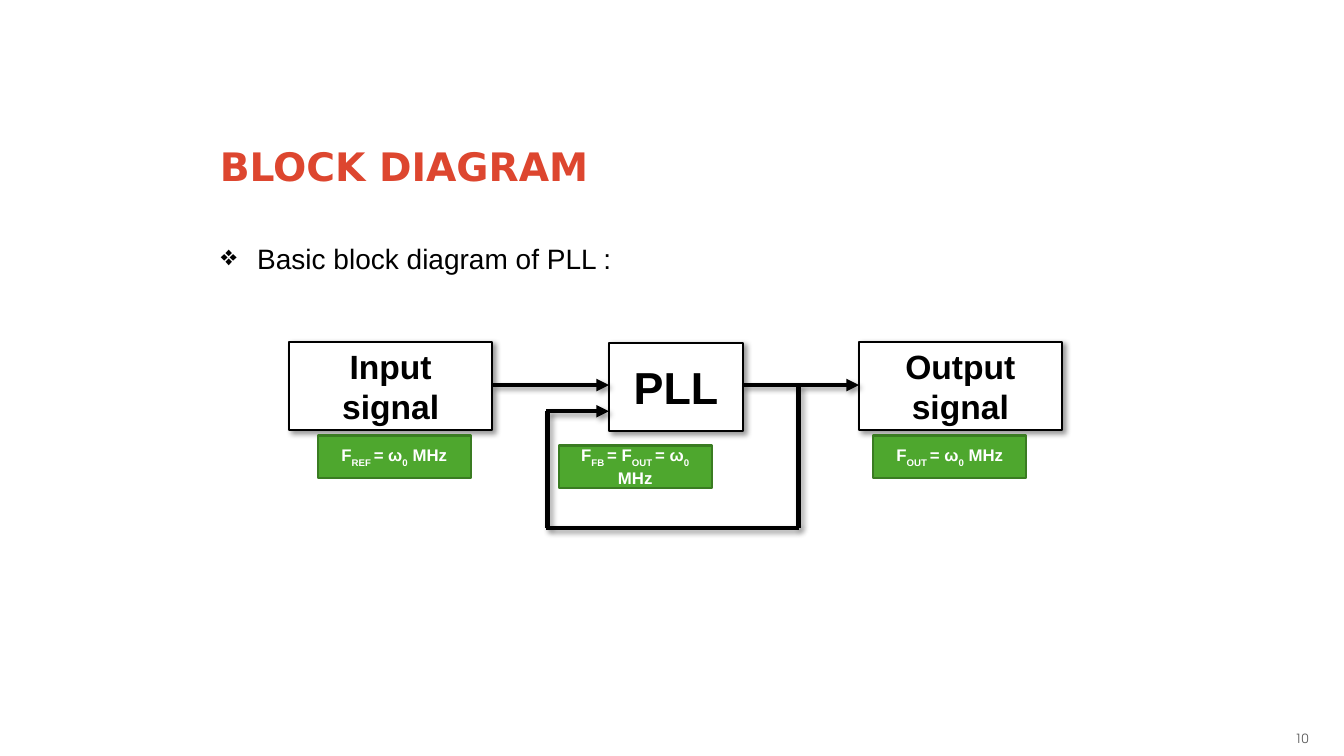
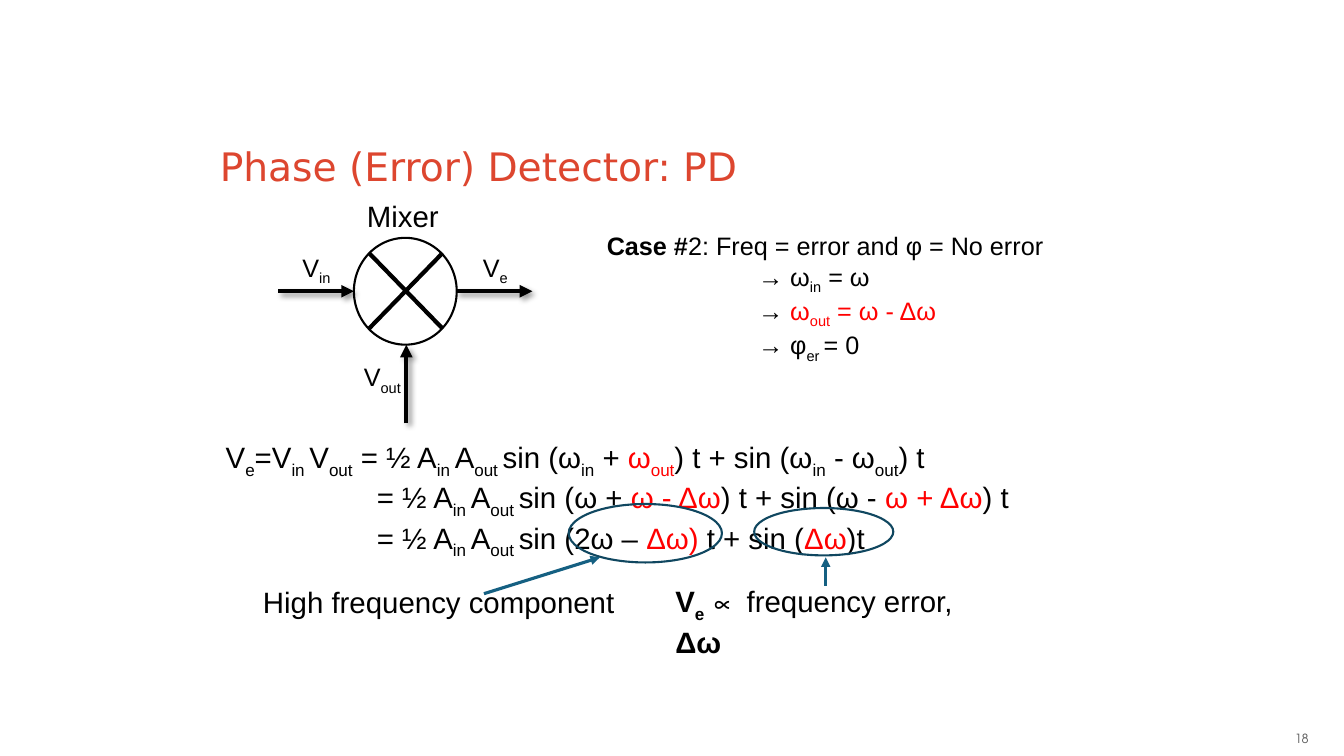
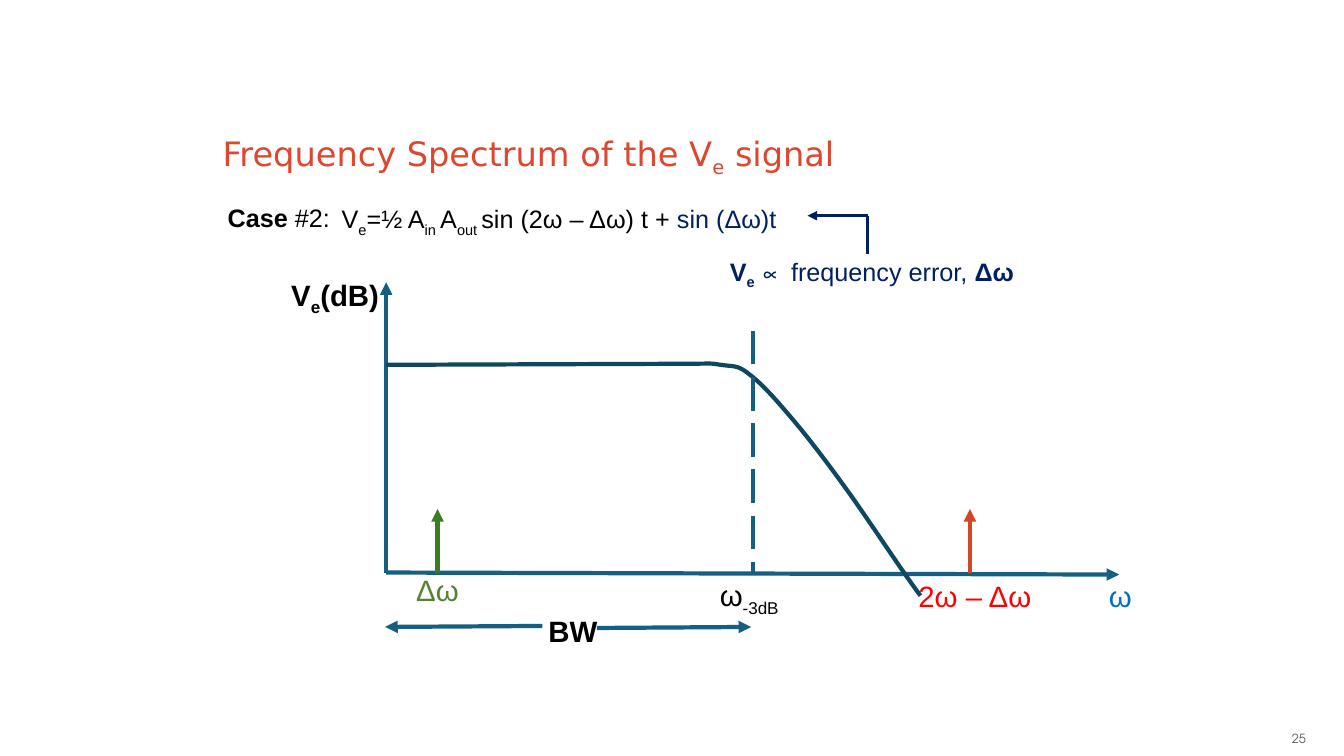
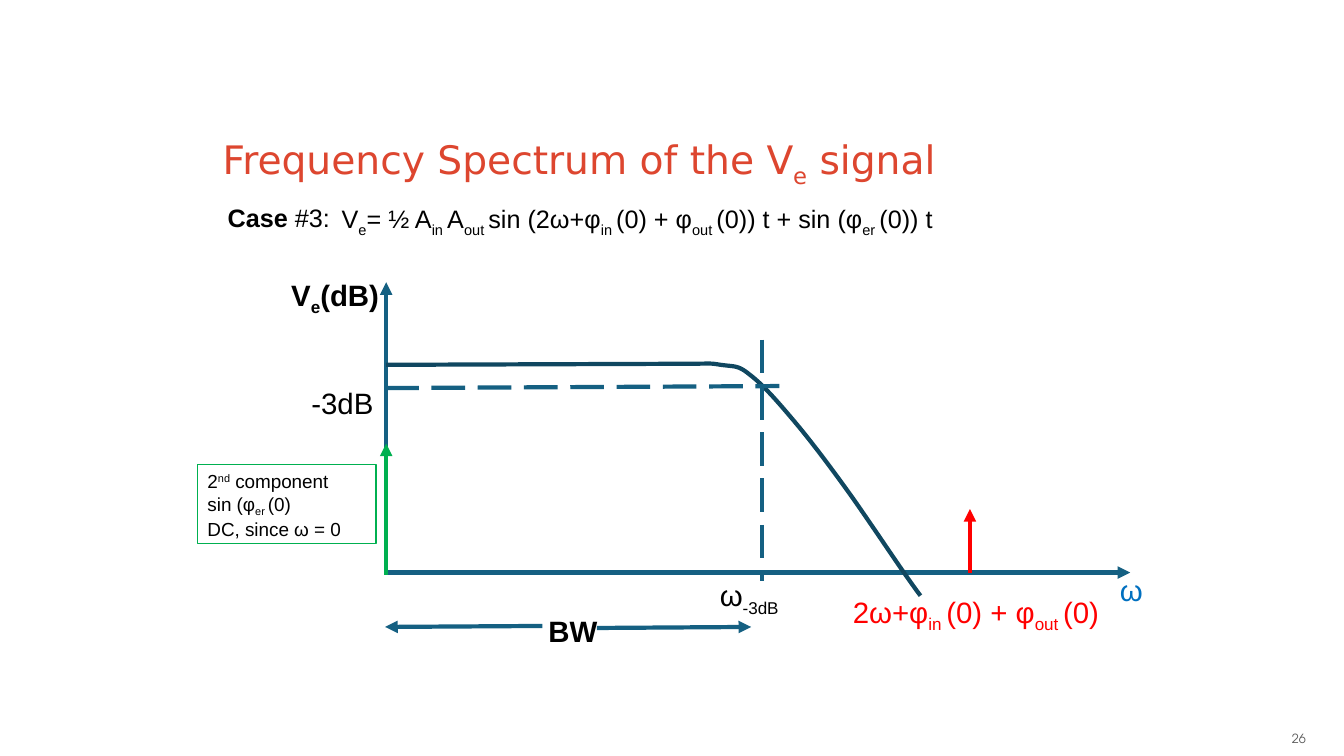
from lxml import etree
from pptx import Presentation, util as u
from pptx.dml.color import RGBColor
from pptx.enum import dml, shapes, text
from pptx.oxml.ns import qn

PX = 9144
SANS = "Arial"
BLACK, WHITE, RED, NAVY = "000000", "FFFFFF", "FF0000", "002060"
TEAL, DEEP, CORAL, GREY = "156082", "104760", "DD462F", "595959"
GREEN, MOSS, LEAF, SKY = "4EA72E", "3A7C22", "00B050", "0070C0"
BASELINE = {"sub": "-25000", "sup": "30000"}

IN, OUT, ER, ZERO = ("in ", "sub"), ("out ", "sub"), ("er ", "sub"), ("0", "sub")
IN_END, OUT_END, E = ("in", "sub"), ("out", "sub"), ("e", "sub")
AMPLITUDES = ["½ A", IN, "A", OUT]
VE_ERROR = [[("V", "bold"), ("e ", "sub", "bold"), "∝ frequency error, ", ("Δω", "bold")]]
SPECTRUM_TITLE = ["Frequency Spectrum of the V", E, " signal"]

PAGES = [
    dict(number="10", title=[("BLOCK DIAGRAM", "bold")], size=28, bottom=192, inset=(7, 4)),
    dict(number="18", title=["Phase (Error) Detector: PD"], size=28, bottom=192, inset=(7, 4)),
    dict(number="25", title=SPECTRUM_TITLE, size=24, bottom=182, inset=(10, 5)),
    dict(number="26", title=SPECTRUM_TITLE, size=28, bottom=192, inset=(10, 5)),
]

BLOCKS = [
    ((287, 339, 201, 88), 24, ["Input", "signal"]),
    ((604, 340, 133, 88), 32, ["PLL"]),
    ((852, 339, 201, 88), 24, ["Output", "signal"]),
]
FREQUENCIES = [
    (315, 432, ["F", ("REF ", "sub"), "= ω", ZERO, " MHz"]),
    (866, 432, ["F", ("OUT ", "sub"), "= ω", ZERO, " MHz"]),
    (554, 442, ["F", ("FB ", "sub"), "= F", ("OUT ", "sub"), "= ω", ZERO, " MHz"]),
]
SIGNAL_ARROWS = [(488, 382, 604, 382), (736, 382, 852, 382), (542, 408, 604, 408)]
FEEDBACK = [(792, 382, 792, 524), (792, 524, 542, 524), (543, 524, 543, 408)]

MIXER = (351, 236, 102, 106)
MIXER_CROSS = [(366, 251, 439, 326), (439, 251, 366, 326)]
MIXER_ARROWS = [(276, 289, 351, 289), (453, 289, 528, 289), (403, 420, 403, 342)]
MIXER_LABELS = [
    ((354, 192, 133, 45), 21, [["Mixer"]]),
    ((290, 245, 52, 40), 18, [["V", IN_END]]),
    ((351, 354, 80, 40), 18, [["V", OUT_END]]),
    ((469, 245, 52, 40), 18, [["V", E]]),
    ((251, 575, 375, 45), 21, [["High frequency component"]]),
    ((660, 574, 345, 45), 21, VE_ERROR),
]
CASE_TWO = [
    [("Case #", "bold"), "2: Freq = error and φ = No error"],
    ["→ ω", IN_END, " = ω"],
    ["→ ", ("ω", RED), ("out", "sub", RED), (" = ω - Δω", RED)],
    ["→ φ", ER, "= 0"],
]
PRODUCT = [
    ["V", E, "=V", IN, "V", OUT_END, " = ", *AMPLITUDES, "sin (ω", IN_END, " + ", ("ω", RED),
     ("out", "sub", RED), ") t + sin (ω", IN_END, " - ω", OUT_END, ") t"],
    ["= ", *AMPLITUDES, "sin (ω + ", ("ω - Δω", RED), ") t + sin (ω - ", ("ω + Δω", RED), ") t"],
    ["= ", *AMPLITUDES, "sin (2ω – ", ("Δω)", RED), " t + sin (", ("Δω", RED), ")t"],
]
TERM_RINGS = [(748, 504, 138, 47), (564, 500, 152, 58)]
TERM_ARROWS = [(819, 581, 819, 553), (480, 589, 595, 553)]

RESPONSE_START = [(383, 362), (659, 361)]
RESPONSE_CURVES = [
    [(715, 361), (701, 360), (715, 362)],
    [(729, 364), (732, 362), (744, 372)],
    [(756, 381), (771, 398), (787, 417)],
    [(803, 436), (819, 457), (840, 486)],
    [(861, 515), (899, 573), (913, 591)],
]
SPECTRUM_ARROWS = [(383, 568, 383, 280), (592, 623, 745, 622), (538, 621, 382, 622)]
SPECTRUM_LABELS = [
    ((704, 568, 141, 45), 21, [["ω", ("-3dB", "sub")]]),
    ((534, 603, 98, 45), 21, [[("BW", "bold")]]),
    ((279, 270, 153, 45), 21, [[("V", "bold"), ("e", "sub", "bold"), ("(dB)", "bold")]]),
]
SPECTRA = [
    dict(
        case="#2:",
        formula=["V", E, "=", *AMPLITUDES, "sin (2ω – Δω) t + ", ("sin (Δω)t", NAVY)],
        axis=(383, 568, 1110, 570),
        dashes=[(747, 328, 747, 568)],
        tones=[((962, 568, 962, 505), "D24726"), ((434, 568, 434, 505), "3B7D23")],
        labels=[
            ((901, 569, 168, 45), 21, [["2ω – Δω"]], RED),
            ((1090, 569, 42, 45), 21, [["ω"]], SKY),
            ((403, 563, 168, 45), 21, [["Δω"]], "548235"),
            ((714, 249, 345, 40), 18, VE_ERROR, NAVY),
        ],
    ),
    dict(
        case="#3:",
        formula=["V", E, "= ", *AMPLITUDES, "sin (2ω+φ", IN, "(0) + φ", OUT,
                 "(0)) t + sin (φ", ER, "(0)) t"],
        axis=(383, 568, 1121, 568),
        dashes=[(756, 337, 756, 576), (382, 385, 773, 383)],
        tones=[((962, 568, 962, 505), RED), ((383, 570, 383, 440), LEAF)],
        labels=[
            ((836, 584, 346, 45), 21, [["2ω+φ", IN, "(0) + φ", OUT, "(0)"]], RED),
            ((1101, 563, 71, 45), 21, [["ω"]], SKY),
            ((299, 377, 113, 45), 21, [["-3dB"]], BLACK),
        ],
    ),
]
DC_NOTE = [["2", ("nd", "sup"), " component"], ["sin (φ", ER, "(0)"], ["DC, since ω = 0"]]


def emu(*lengths):
    return [u.Emu(round(length * PX)) for length in lengths]


def rgb(value):
    return RGBColor.from_string(value)


def add_effects(shape, shadow):
    effects = etree.SubElement(shape._element.spPr, qn("a:effectLst"))
    if shadow:
        outer = etree.SubElement(effects, qn("a:outerShdw"), blurRad="50800", dist="38100",
                                 dir="2700000", algn="tl", rotWithShape="0")
        tint = etree.SubElement(outer, qn("a:srgbClr"), val=BLACK)
        etree.SubElement(tint, qn("a:alpha"), val="40000")


def write(frame, paragraphs, size, colour=BLACK, font=SANS, align=text.PP_ALIGN.LEFT,
          anchor=text.MSO_ANCHOR.TOP, inset=(10, 5), indent=0):
    frame.word_wrap = True
    frame.vertical_anchor = anchor
    frame.margin_left = frame.margin_right = emu(inset[0])[0]
    frame.margin_top = frame.margin_bottom = emu(inset[1])[0]
    for i, runs in enumerate(paragraphs):
        paragraph = frame.add_paragraph() if i else frame.paragraphs[0]
        paragraph.alignment = align
        if i and indent:
            paragraph._p.get_or_add_pPr().set("marL", str(indent * PX))
        for part in runs:
            words, *marks = (part,) if isinstance(part, str) else part
            run = paragraph.add_run()
            run.text = words
            run.font.size, run.font.name = u.Pt(size), font
            run.font.bold = "bold" in marks
            run.font.color.rgb = rgb(next((m for m in marks if len(m) == 6), colour))
            for mark in marks:
                if mark in BASELINE:
                    run._r.get_or_add_rPr().set("baseline", BASELINE[mark])


def label(slide, box, size, paragraphs, colour=BLACK, **style):
    frame = slide.shapes.add_textbox(*emu(*box)).text_frame
    write(frame, paragraphs, size, colour, **style)
    return frame


def outline(shape, fill, line, width, shadow=False):
    if fill:
        shape.fill.solid()
        shape.fill.fore_color.rgb = rgb(fill)
    else:
        shape.fill.background()
    shape.line.color.rgb = rgb(line)
    shape.line.width = u.Pt(width)
    if shadow:
        add_effects(shape, True)
    else:
        shape.shadow.inherit = False
    return shape


def box(slide, kind, place, fill, line, width, shadow=False):
    return outline(slide.shapes.add_shape(kind, *emu(*place)), fill, line, width, shadow)


def stroke(slide, ends, colour=TEAL, width=3, arrow=False, dashed=False, shadow=False):
    line = slide.shapes.add_connector(shapes.MSO_CONNECTOR.STRAIGHT, *emu(*ends))
    line.line.color.rgb = rgb(colour)
    line.line.width = u.Pt(width)
    if dashed:
        line.line.dash_style = dml.MSO_LINE.LONG_DASH
    if arrow:
        etree.SubElement(line.line._get_or_add_ln(), qn("a:tailEnd"), type="triangle")
    add_effects(line, shadow)


def add_page(deck, number, title, size, bottom, inset):
    slide = deck.slides.add_slide(deck.slide_layouts[6])
    label(slide, (211, bottom - 87, 764, 87), size, [title], CORAL, font="DejaVu Sans",
          anchor=text.MSO_ANCHOR.BOTTOM, inset=inset)
    label(slide, (947, 713, 358, 40), 9, [[number]], GREY, font="TeX Gyre Adventor",
          align=text.PP_ALIGN.RIGHT, anchor=text.MSO_ANCHOR.MIDDLE, inset=inset)
    return slide


def draw_block_diagram(slide):
    frame = slide.shapes.add_textbox(*emu(217, 213, 899, 54)).text_frame
    paragraph = frame.paragraphs[0]
    props = paragraph._p.get_or_add_pPr()
    props.set("marL", str(38 * PX))
    props.set("indent", str(-36 * PX))
    tint = etree.SubElement(props, qn("a:buClr"))
    etree.SubElement(tint, qn("a:srgbClr"), val=BLACK)
    etree.SubElement(props, qn("a:buChar"), char="❖")
    paragraph.line_spacing = 1.5
    write(frame, [["Basic block diagram of PLL :"]], 20, align=text.PP_ALIGN.JUSTIFY, inset=(0, 0))
    frame.margin_top = emu(10)[0]

    centred = dict(align=text.PP_ALIGN.CENTER, anchor=text.MSO_ANCHOR.MIDDLE)
    rectangle = shapes.MSO_SHAPE.RECTANGLE
    for place, size, lines in BLOCKS:
        block = box(slide, rectangle, place, WHITE, BLACK, 1.5, shadow=True)
        write(block.text_frame, [[(line, "bold")] for line in lines], size, **centred)
    for ends in SIGNAL_ARROWS:
        stroke(slide, ends, BLACK, arrow=True, shadow=True)
    for ends in FEEDBACK:
        stroke(slide, ends, BLACK, shadow=True)
    for x, y, runs in FREQUENCIES:
        tag = box(slide, rectangle, (x, y, 152, 42), GREEN, MOSS, 1.5)
        bold = [(r, "bold") if isinstance(r, str) else (*r, "bold") for r in runs]
        write(tag.text_frame, [bold], 12, WHITE, **centred)


def draw_phase_detector(slide):
    oval = shapes.MSO_SHAPE.OVAL
    box(slide, oval, MIXER, None, BLACK, 1.5)
    for ends in MIXER_CROSS:
        stroke(slide, ends, BLACK)
    for ends in MIXER_ARROWS:
        stroke(slide, ends, BLACK, arrow=True, shadow=True)
    for item in MIXER_LABELS:
        label(slide, *item)
    label(slide, (592, 224, 554, 131), 18, CASE_TWO, indent=150)
    label(slide, (214, 431, 830, 151), 21, PRODUCT, indent=150)
    for place in TERM_RINGS:
        box(slide, oval, place, None, DEEP, 1.5)
    for ends in TERM_ARROWS:
        stroke(slide, ends, width=2.25, arrow=True)


def response_points(steps=12):
    points = list(RESPONSE_START)
    for b, c, d in RESPONSE_CURVES:
        a = points[-1]
        for t in (i / steps for i in range(1, steps + 1)):
            weights = ((1 - t) ** 3, 3 * t * (1 - t) ** 2, 3 * t * t * (1 - t), t ** 3)
            points.append(tuple(sum(w * p[k] for w, p in zip(weights, (a, b, c, d)))
                                for k in (0, 1)))
    return [emu(*point) for point in points]


def draw_spectrum(slide, case, formula, axis, dashes, tones, labels):
    for ends in [axis, *SPECTRUM_ARROWS]:
        stroke(slide, ends, arrow=True)
    start, *rest = response_points()
    builder = slide.shapes.build_freeform(*start)
    builder.add_line_segments(rest, close=False)
    outline(builder.convert_to_shape(), None, DEEP, 3)
    for ends in dashes:
        stroke(slide, ends, dashed=True)
    for ends, colour in tones:
        stroke(slide, ends, colour, arrow=True)
    for item in SPECTRUM_LABELS + labels:
        label(slide, *item)
    label(slide, (216, 196, 128, 40), 18, [[("Case ", "bold"), case]])
    label(slide, (329, 197, 730, 40), 18, [formula])


def main():
    deck = Presentation()
    deck.slide_width, deck.slide_height = emu(1333, 750)
    blocks, detector, second, third = [add_page(deck, **page) for page in PAGES]
    draw_block_diagram(blocks)
    draw_phase_detector(detector)
    for slide, spectrum in zip((second, third), SPECTRA):
        draw_spectrum(slide, **spectrum)
    stroke(second, (861, 214, 801, 214), NAVY, 2.25, arrow=True)
    stroke(second, (860, 252, 860, 214), NAVY, 2.25)
    note = box(third, shapes.MSO_SHAPE.RECTANGLE, (196, 461, 177, 78), None, LEAF, 0.75)
    write(note.text_frame, DC_NOTE, 13.5)
    deck.save("out.pptx")


if __name__ == "__main__":
    main()
